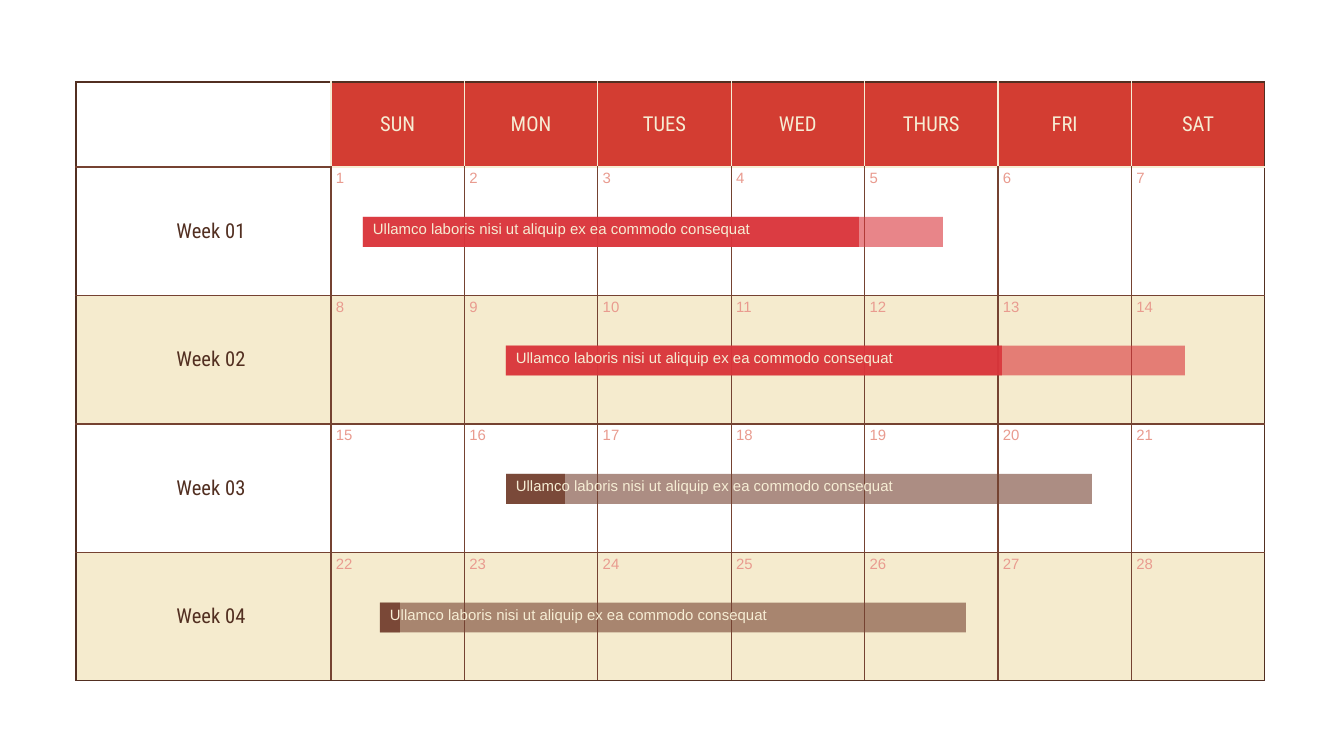
"""Build a four-week calendar slide with progress bars."""
from lxml import etree
from pptx import Presentation
from pptx import util as u
from pptx.dml.color import RGBColor
from pptx.enum import shapes, text
from pptx.oxml.ns import qn

EMU_PER_PX = 914400 / 134.4
RED = RGBColor(0xD3, 0x3D, 0x32)
CRIMSON = RGBColor(0xDA, 0x35, 0x3B)
BROWN = RGBColor(0x75, 0x42, 0x31)
DARK = RGBColor(0x52, 0x2F, 0x21)
CREAM = RGBColor(0xF6, 0xED, 0xD4)
SAND = RGBColor(0xED, 0xD8, 0x9E)
PINK = RGBColor(0xE9, 0x9B, 0x8F)

DAYS = ["SUN", "MON", "TUES", "WED", "THURS", "FRI", "SAT"]
WEEKS = 4
LEFT, TOP, WIDTH, HEIGHT = 76, 82, 1189, 599
LABEL_WIDTH, HEADER_HEIGHT = 255, 85
DAY_WIDTH = (WIDTH - LABEL_WIDTH) / len(DAYS)
WEEK_HEIGHT = (HEIGHT - HEADER_HEIGHT) / WEEKS
BAR_OFFSET, BAR_HEIGHT = 50, 30
TASK = "Ullamco laboris nisi ut aliquip ex ea commodo consequat"
BARS = [
    (363, 580, 496, CRIMSON),
    (506, 679, 496, CRIMSON),
    (506, 586, 59, BROWN),
    (380, 586, 20, BROWN),
]

MARGINS = {"margin_left": 5, "margin_top": 3, "margin_right": 5, "margin_bottom": 3}
HEADING = {"name": "Roboto Condensed", "size": u.Pt(11)}
SMALL = {"name": "Arial", "size": u.Pt(8)}


def px(length):
    """Turn pixels into EMU."""
    return u.Emu(round(length * EMU_PER_PX))


def set_margins(holder, **changes):
    """Apply the common margins, with any changes, to a cell or text frame."""
    for name, value in {**MARGINS, **changes}.items():
        setattr(holder, name, px(value))


def write(frame, words, style, color, align=text.PP_ALIGN.LEFT):
    """Put one formatted run into a text frame."""
    para = frame.paragraphs[0]
    para.alignment = align
    span = para.add_run()
    span.text = words
    for name, value in style.items():
        setattr(span.font, name, value)
    span.font.color.rgb = color


def paint(fill, properties, color, opacity=100):
    """Give a solid fill with an opacity in percent."""
    fill.solid()
    fill.fore_color.rgb = color
    if opacity < 100:
        tint = properties.find(qn("a:solidFill"))[0]
        etree.SubElement(tint, qn("a:alpha"), val=str(opacity * 1000))


def vertical_color(row, edge):
    """Return the colour of a vertical grid line."""
    if edge in (0, len(DAYS) + 1):
        return DARK
    return CREAM if row == 0 else BROWN


def horizontal_color(edge, column):
    """Return the colour of a horizontal grid line."""
    if edge in (0, WEEKS + 1):
        return DARK
    return CREAM if edge == 1 and column > 0 else BROWN


def add_borders(cell, row, column):
    """Draw the four borders of a cell."""
    borders = {
        "a:lnL": vertical_color(row, column),
        "a:lnR": vertical_color(row, column + 1),
        "a:lnT": horizontal_color(row, column),
        "a:lnB": horizontal_color(row + 1, column),
    }
    properties = cell._tc.get_or_add_tcPr()
    for tag, color in borders.items():
        line = etree.SubElement(properties, qn(tag), w=str(u.Pt(0.75)))
        solid = etree.SubElement(line, qn("a:solidFill"))
        etree.SubElement(solid, qn("a:srgbClr"), val=str(color))


def format_cell(cell, row, column):
    """Fill one calendar cell with its borders, colour and text."""
    add_borders(cell, row, column)
    set_margins(cell, margin_left=20 if row and not column else 5)
    if row == 0 and column:
        paint(cell.fill, cell._tc.tcPr, RED)
    elif row and row % 2 == 0:
        paint(cell.fill, cell._tc.tcPr, SAND, 50)
    else:
        cell.fill.background()

    center = text.PP_ALIGN.CENTER
    if row and column:
        number = (row - 1) * len(DAYS) + column
        write(cell.text_frame, str(number), SMALL, PINK)
        return
    cell.vertical_anchor = text.MSO_ANCHOR.MIDDLE
    if column:
        write(cell.text_frame, DAYS[column - 1], HEADING, CREAM, center)
    elif row:
        write(cell.text_frame, f"Week {row:02}", HEADING, DARK, center)


def add_calendar(page):
    """Add the calendar table."""
    frame = page.shapes.add_table(
        WEEKS + 1, len(DAYS) + 1, px(LEFT), px(TOP), px(WIDTH), px(HEIGHT)
    )
    table = frame.table
    table.first_row = table.horz_banding = False
    for index, column in enumerate(table.columns):
        column.width = px(DAY_WIDTH if index else LABEL_WIDTH)
    for index, row in enumerate(table.rows):
        row.height = px(WEEK_HEIGHT if index else HEADER_HEIGHT)
        for place, cell in enumerate(row.cells):
            format_cell(cell, index, place)


def add_bar(page, week, left, length, done, color):
    """Add a task bar with its finished part and caption."""
    top = TOP + HEADER_HEIGHT + week * WEEK_HEIGHT + BAR_OFFSET
    group = page.shapes.add_group_shape()
    for width, opacity in ((length, 60), (done, 90)):
        bar = group.shapes.add_shape(
            shapes.MSO_SHAPE.RECTANGLE, px(left), px(top), px(width), px(BAR_HEIGHT)
        )
        bar.shadow.inherit = False
        bar.line.fill.background()
        paint(bar.fill, bar._element.spPr, color, opacity)
    box = group.shapes.add_textbox(px(left + 5), px(top), px(418), px(24))
    box.text_frame.word_wrap = True
    set_margins(box.text_frame)
    write(box.text_frame, TASK, SMALL, CREAM)


def main():
    """Build and save the deck."""
    deck = Presentation()
    deck.slide_width, deck.slide_height = px(1344), px(756)
    page = deck.slides.add_slide(deck.slide_layouts[6])
    add_calendar(page)
    for week, bar in enumerate(BARS):
        add_bar(page, week, *bar)
    deck.save("out.pptx")


if __name__ == "__main__":
    main()
